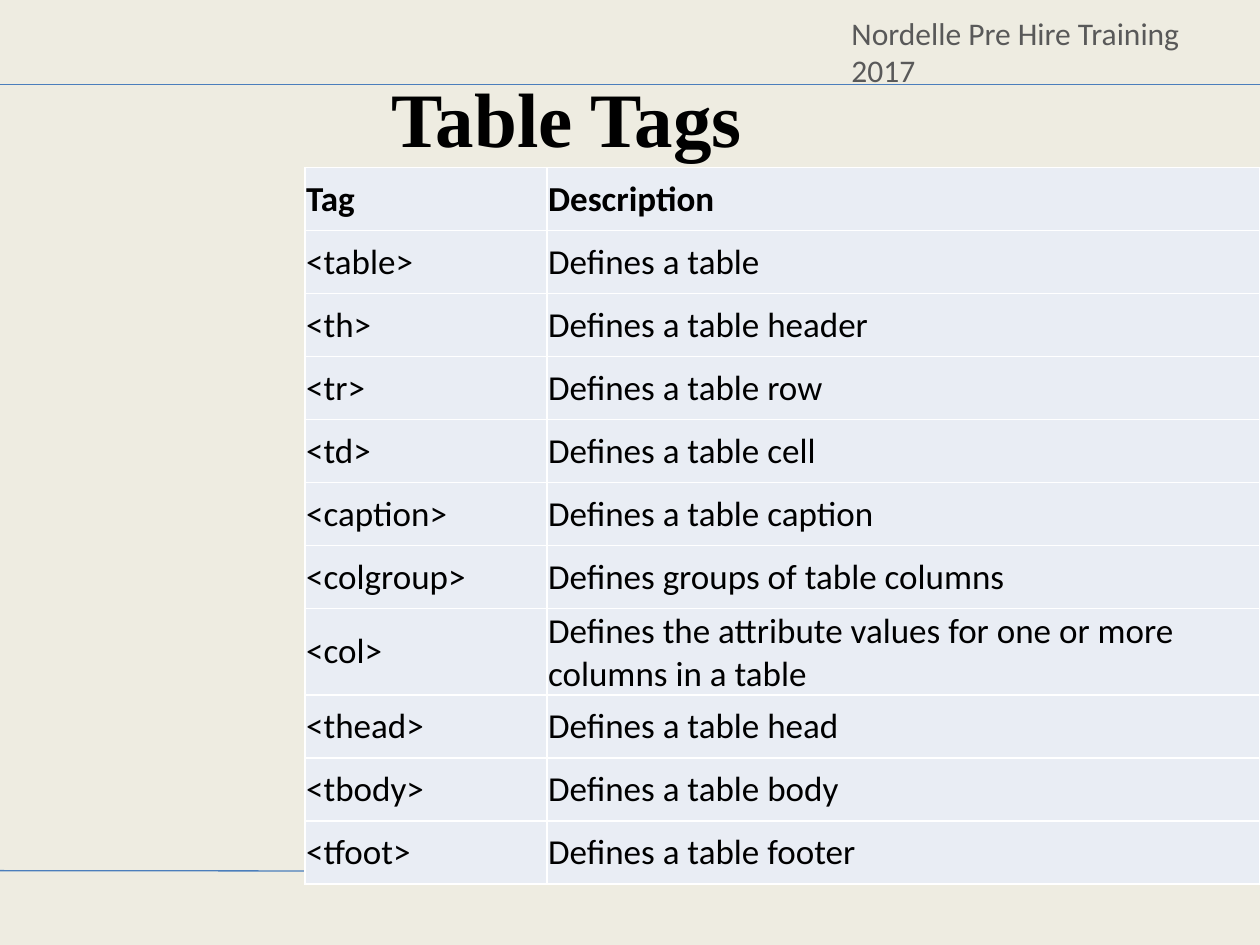
import pptx
import pptx.util
import pptx.dml.color
import pptx.enum.shapes
import pptx.enum.text
import pptx.oxml

Inches, Pt = pptx.util.Inches, pptx.util.Pt
ALIGN, ANCHOR = pptx.enum.text.PP_ALIGN, pptx.enum.text.MSO_ANCHOR

COURSE = "Nordelle Pre Hire Training 2017"
TITLE = "Table Tags"
TAGS = [
    ("Tag", "Description"),
    ("<table>", "Defines a table"),
    ("<th>", "Defines a table header"),
    ("<tr>", "Defines a table row"),
    ("<td>", "Defines a table cell"),
    ("<caption>", "Defines a table caption"),
    ("<colgroup>", "Defines groups of table columns"),
    ("<col>", "Defines the attribute values for one or more columns in a table"),
    ("<thead>", "Defines a table head"),
    ("<tbody>", "Defines a table body"),
    ("<tfoot>", "Defines a table footer"),
]
COLORS = {"background": "EEECE1", "rule": "4B7EBC", "course": "595959",
          "text": "000000", "cell": "E9EDF4", "border": "FFFFFF"}
WIDTH, HEIGHT = 10, 7.5
RULES = [(0.67, 0.67), (6.91, 6.92)]
COLUMNS, ROW = (1.92, 5.66), 0.5
TABLE_TOP = 1.33
COURSE_FONT = {"name": "Calibri", "size": Pt(18), "bold": False}
TITLE_FONT = {"name": "Times New Roman", "size": Pt(44), "bold": True}
CELL_FONT = {"name": "Calibri", "size": Pt(20)}
CELL_FORMAT = {"vertical_anchor": ANCHOR.MIDDLE,
               **{f"margin_{side}": Inches(0.01) for side in ("left", "right", "top", "bottom")}}
CELL_SPACING = {"space_before": Pt(6.6), "space_after": Pt(6.6)}


def rgb(part):
    """Return the colour of a named part."""
    return pptx.dml.color.RGBColor.from_string(COLORS[part])


def apply(target, values):
    """Set each attribute in values on target."""
    for name, value in values.items():
        setattr(target, name, value)


def write(paragraph, words, font, color):
    """Put one formatted run in a paragraph."""
    run = paragraph.add_run()
    run.text = words
    apply(run.font, font)
    run.font.color.rgb = rgb(color)


def add_rule(slide, left_y, right_y):
    """Draw a thin line across the slide."""
    rule = slide.shapes.add_connector(pptx.enum.shapes.MSO_CONNECTOR.STRAIGHT,
                                      0, Inches(left_y), Inches(WIDTH), Inches(right_y))
    rule.line.color.rgb = rgb("rule")
    rule.line.width = Pt(0.75)
    rule._element.spPr.append(pptx.oxml.parse_xml(
        f'<a:effectLst {pptx.oxml.ns.nsdecls("a")}/>'))


def add_words(slide, box, words, font, color, align, frame_format):
    """Add a text box holding one line."""
    frame = slide.shapes.add_textbox(*map(Inches, box)).text_frame
    apply(frame, frame_format)
    frame.paragraphs[0].alignment = align
    write(frame.paragraphs[0], words, font, color)


def add_borders(cell):
    """Edge a cell on all four sides, ahead of its fill."""
    properties = cell._tc.get_or_add_tcPr()
    for index, side in enumerate(("lnL", "lnR", "lnT", "lnB")):
        properties.insert(index, pptx.oxml.parse_xml(
            f'<a:{side} {pptx.oxml.ns.nsdecls("a")} w="{Pt(1)}"><a:solidFill>'
            f'<a:srgbClr val="{COLORS["border"]}"/></a:solidFill></a:{side}>'))


def add_tags(slide):
    """Add the tag table flush with the right edge."""
    width = sum(COLUMNS)
    table = slide.shapes.add_table(
        len(TAGS), len(COLUMNS), Inches(WIDTH - width), Inches(TABLE_TOP),
        Inches(width), Inches(ROW * len(TAGS))).table
    for column, column_width in zip(table.columns, COLUMNS):
        column.width = Inches(column_width)
    for r, entry in enumerate(TAGS):
        table.rows[r].height = Inches(ROW)
        for c, words in enumerate(entry):
            cell = table.cell(r, c)
            apply(cell, CELL_FORMAT)
            cell.fill.solid()
            cell.fill.fore_color.rgb = rgb("cell")
            add_borders(cell)
            paragraph = cell.text_frame.paragraphs[0]
            apply(paragraph, CELL_SPACING)
            write(paragraph, words, {**CELL_FONT, "bold": r == 0}, "text")


deck = pptx.Presentation()
apply(deck, {"slide_width": Inches(WIDTH), "slide_height": Inches(HEIGHT)})
slide = deck.slides.add_slide(deck.slide_layouts[6])
slide.background.fill.solid()
slide.background.fill.fore_color.rgb = rgb("background")
for ends in RULES:
    add_rule(slide, *ends)
add_words(slide, (6.66, 0.06, 3.34, 0.4), COURSE, COURSE_FONT, "course", ALIGN.LEFT,
          {"word_wrap": False, "auto_size": pptx.enum.text.MSO_AUTO_SIZE.SHAPE_TO_FIT_TEXT})
add_words(slide, (0, 0.3, 9, 1.25), TITLE, TITLE_FONT, "text", ALIGN.CENTER,
          {"word_wrap": True, "vertical_anchor": ANCHOR.MIDDLE})
add_tags(slide)
deck.save("out.pptx")
